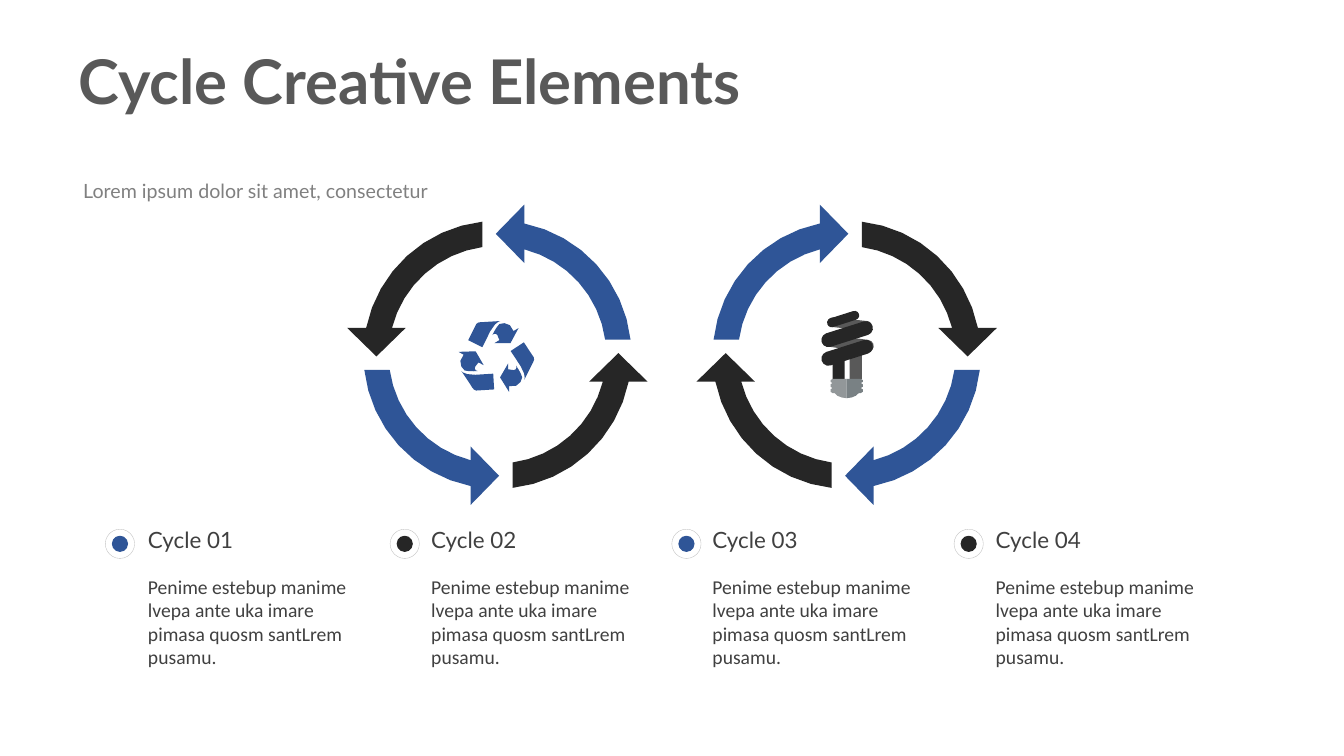
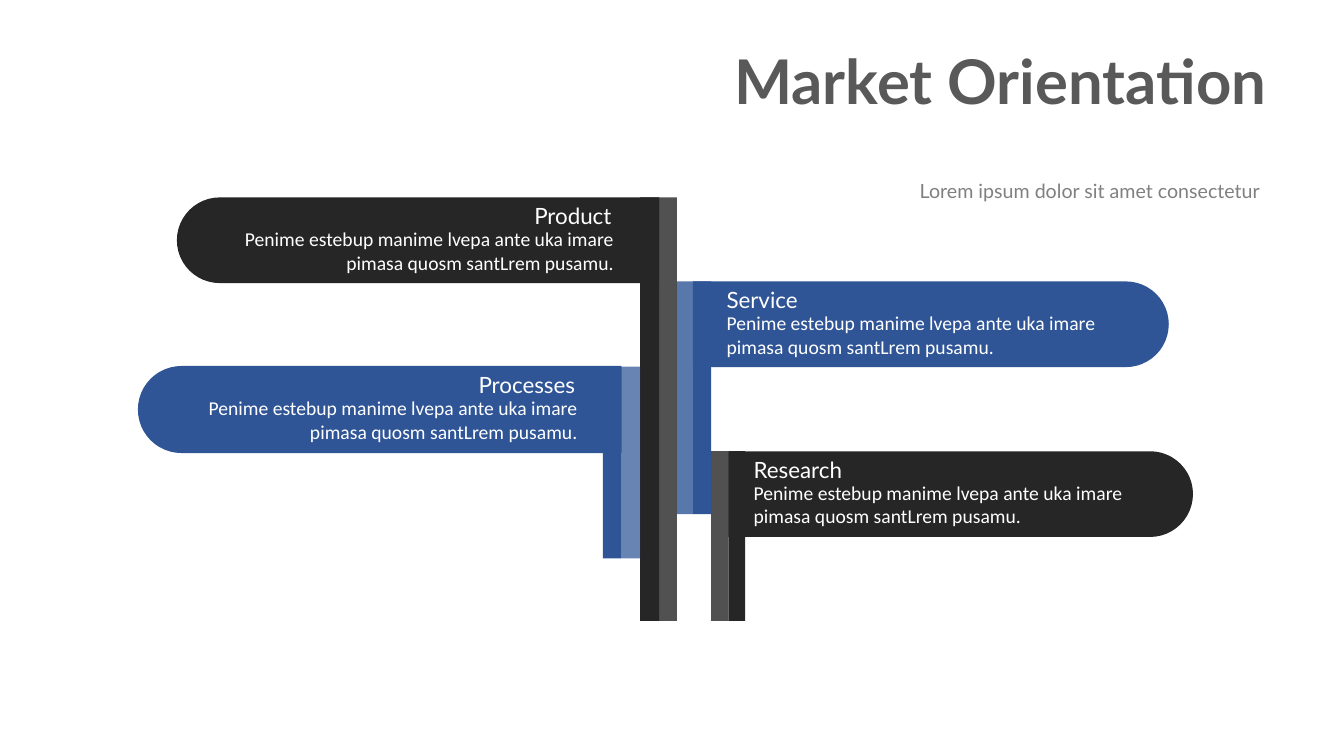
"""Build two slides: a pair of cycle diagrams and a signpost of market topics."""
from dataclasses import dataclass
from math import acos, asin, cos, pi, radians, sin

from lxml.etree import SubElement
from pptx import Presentation
from pptx.dml.color import RGBColor
from pptx.enum.shapes import MSO_SHAPE as Preset
from pptx.enum.text import MSO_ANCHOR as Anchor
from pptx.enum.text import MSO_AUTO_SIZE as AutoSize
from pptx.enum.text import PP_ALIGN as Align
from pptx.oxml.ns import qn
from pptx.shapes.autoshape import Shape
from pptx.slide import Slide
from pptx.util import Emu, Pt

COLUMNS, ROWS, CELL = 160, 90, 76200
HUNDREDTH = 0.12
Point = tuple[float, float]


@dataclass(frozen=True)
class TextStyle:
    size: float
    font: str
    colour: str
    bold: bool = False
    leading: float | None = None


@dataclass(frozen=True)
class Theme:
    blue: str = "2F5597"
    black: str = "262626"
    grey: str = "595959"
    halo: str = "BFBFBF"
    socket: str = "929799"
    socket_shade: str = "798184"
    title: TextStyle = TextStyle(44, "Lato", "595959", True, 40)
    subtitle: TextStyle = TextStyle(14, "Lato", "808080")
    heading: TextStyle = TextStyle(16, "Lato", "404040")
    body: TextStyle = TextStyle(14, "Calibri", "404040")
    sign_heading: TextStyle = TextStyle(16, "Lato", "FFFFFF")
    sign_body: TextStyle = TextStyle(14, "Calibri", "FFFFFF")


@dataclass(frozen=True)
class Box:
    left: float
    top: float
    width: float
    height: float

    def emu(self) -> list[Emu]:
        return [cells(v) for v in (self.left, self.top, self.width, self.height)]


@dataclass(frozen=True)
class Capsule:
    x: float
    y: float
    length: float
    thickness: float
    tilt: float
    colour: str


@dataclass(frozen=True)
class LegendEntry:
    label: str
    marker: float
    text_left: float
    colour: str


@dataclass(frozen=True)
class Sign:
    label: str
    colour: str
    top: float
    bottom: float
    hinge: float
    arm: float
    solid: float
    tint: float
    text_edge: float
    points_left: bool
    opacity: int = 80
    border: float = 0


THEME = Theme()
BLURB = "Penime estebup manime lvepa ante uka imare pimasa quosm santLrem pusamu."
ARROW_COLOURS = (THEME.blue, THEME.black) * 2
LEGEND = (
    LegendEntry("Cycle 01", 14.28, 16.44, THEME.blue),
    LegendEntry("Cycle 02", 48.18, 50.16, THEME.black),
    LegendEntry("Cycle 03", 81.72, 83.64, THEME.blue),
    LegendEntry("Cycle 04", 115.32, 117.36, THEME.black),
)
RECYCLE_ARROWS = (
    [(-5, -26), (0, -35, 4, -36, 5, -36), (-11, -35),
     (-14, -35, -18, -35, -19, -33), (-27, -17), (-13, -10)],
    [(15, -14), (23, -29), (18, -26), (16, -34, 8, -35, 4, -33),
     (1, -30, -1, -26, -3, -22), (-2, -24, 1, -24, 2, -22), (4, -17), (-1, -14)],
)
SOCKET_HALF = [(0, 22), (14, 22), (17, 22, 17, 26, 14, 26), (17, 26, 17, 31, 14, 31),
               (17, 31, 17, 36, 14, 36), (12, 36), (10, 39, 5, 41, 0, 41)]
LEFT_TUBE = [(-14, 7), (-2, 3), (-2, 22), (-14, 22)]
RIGHT_TUBE = [(3, 1), (15, -3), (15, 22), (3, 22)]
COILS = (
    Capsule(1, -13.5, 52, 12, 8, THEME.grey),
    Capsule(3, -32.5, 44, 9.5, 6, THEME.grey),
    Capsule(0.5, -22.5, 53, 14, -17.6, THEME.black),
    Capsule(-3.5, -37.5, 33, 9, -17.6, THEME.black),
    Capsule(0.5, -4, 53, 14, -17.6, THEME.black),
)
SIGNS = (
    Sign("Service", THEME.blue, 33.5, 61.2, 82.5, 56.64, 2.16, 1.92, 85.32, False),
    Sign("Research", THEME.black, 53.72, 73.92, 86.7, 55.32, 2.0, 2.04, 88.54, False),
    Sign("Product", THEME.black, 23.5, 73.92, 78.48, 57.42, 2.28, 2.1, 74.28, True),
    Sign("Processes", THEME.blue, 43.65, 66.48, 73.92, 57.42, 2.16, 2.28, 69.96, True,
         72, 1),
)


def cells(count: float) -> Emu:
    return Emu(round(count * CELL))


def write(shape: Shape, text: str, style: TextStyle, align: Align = Align.LEFT) -> None:
    frame = shape.text_frame
    frame.text = text
    frame_format = {"word_wrap": True, "auto_size": AutoSize.NONE,
                    "vertical_anchor": Anchor.TOP}
    paragraph = frame.paragraphs[0]
    paragraph_format = {"alignment": align, "space_before": Pt(0),
                        "line_spacing": Pt(style.leading) if style.leading else 1.0}
    font = paragraph.runs[0].font
    font_format = {"name": style.font, "size": Pt(style.size), "bold": style.bold}
    for target, values in ((frame, frame_format), (paragraph, paragraph_format),
                           (font, font_format)):
        for name, value in values.items():
            setattr(target, name, value)
    font.color.rgb = RGBColor.from_string(style.colour)


def add_text(slide: Slide, box: Box, text: str, style: TextStyle,
             align: Align = Align.LEFT) -> None:
    write(slide.shapes.add_textbox(*box.emu()), text, style, align)


def paint(shape: Shape, colour: str, opacity: int = 100) -> None:
    shape.shadow.inherit = False
    shape.fill.solid()
    shape.fill.fore_color.rgb = RGBColor.from_string(colour)
    shape.line.fill.background()
    if opacity < 100:
        tint = shape._element.spPr.find(".//" + qn("a:srgbClr"))
        SubElement(tint, qn("a:alpha")).set("val", str(opacity * 1000))


def add_border(shape: Shape, colour: str, width: float) -> None:
    shape.line.color.rgb = RGBColor.from_string(colour)
    shape.line.width = Pt(width)


def add_filled(slide: Slide, preset: Preset, box: Box, colour: str,
               opacity: int = 100) -> Shape:
    shape = slide.shapes.add_shape(preset, *box.emu())
    paint(shape, colour, opacity)
    return shape


def add_headed_slide(presentation: Presentation, title: str, subtitle: str,
                     boxes: tuple[Box, Box], align: Align) -> Slide:
    slide = presentation.slides.add_slide(presentation.slide_layouts[1])
    title_shape, subtitle_shape = slide.placeholders
    for shape, box in zip((title_shape, subtitle_shape), boxes):
        shape.left, shape.top, shape.width, shape.height = box.emu()
    write(title_shape, title, THEME.title, align)
    write(subtitle_shape, subtitle, THEME.subtitle, align)
    properties = subtitle_shape.text_frame.paragraphs[0]._p.get_or_add_pPr()
    for name in ("marL", "indent"):
        properties.set(name, "0")
    SubElement(properties, qn("a:buNone"))
    return slide


def trace(segments: list[tuple[float, ...]], steps: int = 3) -> list[Point]:
    points = [segments[0]]
    for segment in segments[1:]:
        if len(segment) == 2:
            points.append(segment)
            continue
        knots = (points[-1], segment[:2], segment[2:4], segment[4:])
        for step in range(1, steps + 1):
            t = step / steps
            weights = ((1 - t) ** 3, 3 * t * (1 - t) ** 2, 3 * t * t * (1 - t), t ** 3)
            points.append(tuple(sum(w * knot[axis] for w, knot in zip(weights, knots))
                                for axis in (0, 1)))
    return points


def add_outline(slide: Slide, points: list[Point], centre: Point, colour: str,
                scale: float = 1, turn: float = 0, mirror: bool = False) -> None:
    side = -1 if mirror else 1
    placed = [(cells(centre[0] + side * scale * (x * cos(turn) - y * sin(turn))),
               cells(centre[1] + scale * (x * sin(turn) + y * cos(turn))))
              for x, y in points]
    builder = slide.shapes.build_freeform(*placed[0])
    builder.add_line_segments(placed[1:])
    paint(builder.convert_to_shape(), colour)


def arc(radius: float, start: float, end: float, steps: int = 8) -> list[Point]:
    angles = [start + (end - start) * step / steps for step in range(steps + 1)]
    return [(radius * cos(angle), -radius * sin(angle)) for angle in angles]


def quarter_arrow() -> list[Point]:
    outer, inner, middle, half_head, tail, neck, tip = 15.95, 12.95, 14.4, 3.48, 1.8, 3.2, -0.2
    head = [(neck, -middle - half_head), (tip, -middle), (neck, half_head - middle)]
    return (arc(outer, asin(tail / outer), acos(neck / outer)) + head
            + arc(inner, acos(neck / inner), asin(tail / inner)))


def add_cycle(slide: Slide, centre: Point, mirror: bool) -> None:
    for quarter, colour in enumerate(ARROW_COLOURS):
        add_outline(slide, quarter_arrow(), centre, colour,
                    turn=-quarter * pi / 2, mirror=mirror)


def add_recycle_icon(slide: Slide, centre: Point) -> None:
    for third in range(3):
        for piece in RECYCLE_ARROWS:
            add_outline(slide, trace(piece), centre, THEME.blue, HUNDREDTH,
                        radians(120 * third))


def add_bulb_icon(slide: Slide, centre: Point) -> None:
    for segments, colour, mirror in ((LEFT_TUBE, THEME.black, False),
                                     (RIGHT_TUBE, THEME.grey, False),
                                     (SOCKET_HALF, THEME.socket, True),
                                     (SOCKET_HALF, THEME.socket_shade, False)):
        add_outline(slide, trace(segments), centre, colour, HUNDREDTH, mirror=mirror)
    for coil in COILS:
        width, height = coil.length * HUNDREDTH, coil.thickness * HUNDREDTH
        box = Box(centre[0] + coil.x * HUNDREDTH - width / 2,
                  centre[1] + coil.y * HUNDREDTH - height / 2, width, height)
        shape = add_filled(slide, Preset.ROUNDED_RECTANGLE, box, coil.colour)
        shape.adjustments[0] = 0.5
        shape.rotation = coil.tilt


def add_legend_entry(slide: Slide, entry: LegendEntry) -> None:
    add_text(slide, Box(entry.text_left, 62.04, 25.56, 4.44), entry.label, THEME.heading)
    add_text(slide, Box(entry.text_left, 67.8, 28.32, 12.48), BLURB, THEME.body)
    dot, halo = (Box(entry.marker - size / 2, 64.74 - size / 2, size, size)
                 for size in (1.8, 3.48))
    add_border(add_filled(slide, Preset.OVAL, dot, entry.colour), entry.colour, 0.75)
    ring = add_filled(slide, Preset.OVAL, halo, THEME.halo)
    ring.fill.background()
    add_border(ring, THEME.halo, 0.25)


def add_sign(slide: Slide, sign: Sign) -> None:
    thickness, text_width = 10.2, 48
    side = -1 if sign.points_left else 1
    middle = sign.hinge + side * sign.arm / 2
    arm = add_filled(slide, Preset.ROUND_2_SAME_RECTANGLE,
                     Box(middle - thickness / 2, sign.top + (thickness - sign.arm) / 2,
                         thickness, sign.arm), sign.colour)
    arm.adjustments[0], arm.adjustments[1] = 0.5, 0
    arm.rotation = side * 90 % 360
    if sign.border:
        add_border(arm, sign.colour, sign.border)
    for width, opacity, before_hinge in ((sign.solid, 100, sign.points_left),
                                         (sign.tint, sign.opacity, not sign.points_left)):
        left = sign.hinge - (width if before_hinge else 0)
        add_filled(slide, Preset.RECTANGLE,
                   Box(left, sign.top, width, sign.bottom - sign.top), sign.colour, opacity)
    text_left = sign.text_edge - (text_width if sign.points_left else 0)
    heading_left = text_left - (0.3 if sign.points_left else 0)
    align = Align.RIGHT if sign.points_left else Align.LEFT
    add_text(slide, Box(heading_left, sign.top, text_width, 4.44), sign.label,
             THEME.sign_heading, align)
    add_text(slide, Box(text_left, sign.top + 2.93, text_width, 6.84), BLURB,
             THEME.sign_body, align)


def main() -> None:
    presentation = Presentation()
    presentation.slide_width, presentation.slide_height = cells(COLUMNS), cells(ROWS)
    cycles = add_headed_slide(
        presentation, "Cycle Creative Elements", "Lorem ipsum dolor sit amet, consectetur",
        (Box(8.16, 6.6, 114.84, 7.92), Box(8.7, 20.64, 51, 6.84)), Align.LEFT)
    for entry in LEGEND:
        add_legend_entry(cycles, entry)
    add_cycle(cycles, (59.22, 42.24), mirror=False)
    add_cycle(cycles, (100.8, 42.24), mirror=True)
    add_recycle_icon(cycles, (58.98, 42.54))
    add_bulb_icon(cycles, (100.8, 42.48))
    market = add_headed_slide(
        presentation, "Market Orientation", "Lorem ipsum dolor sit amet consectetur",
        (Box(71.8, 6.6, 80.2, 7.92), Box(100.24, 20.64, 51, 6.84)), Align.RIGHT)
    for sign in SIGNS:
        add_sign(market, sign)
    presentation.save("out.pptx")


main()
